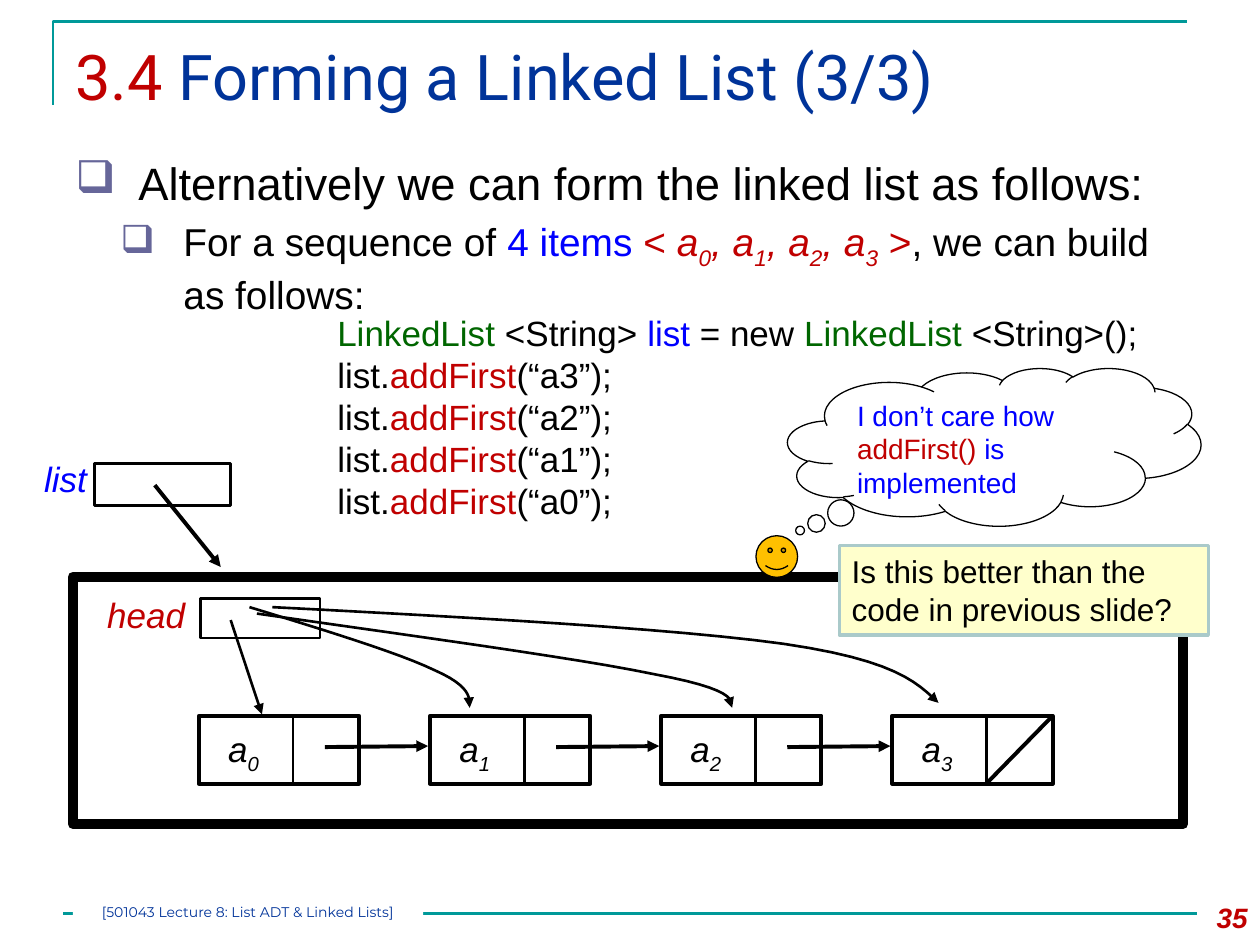
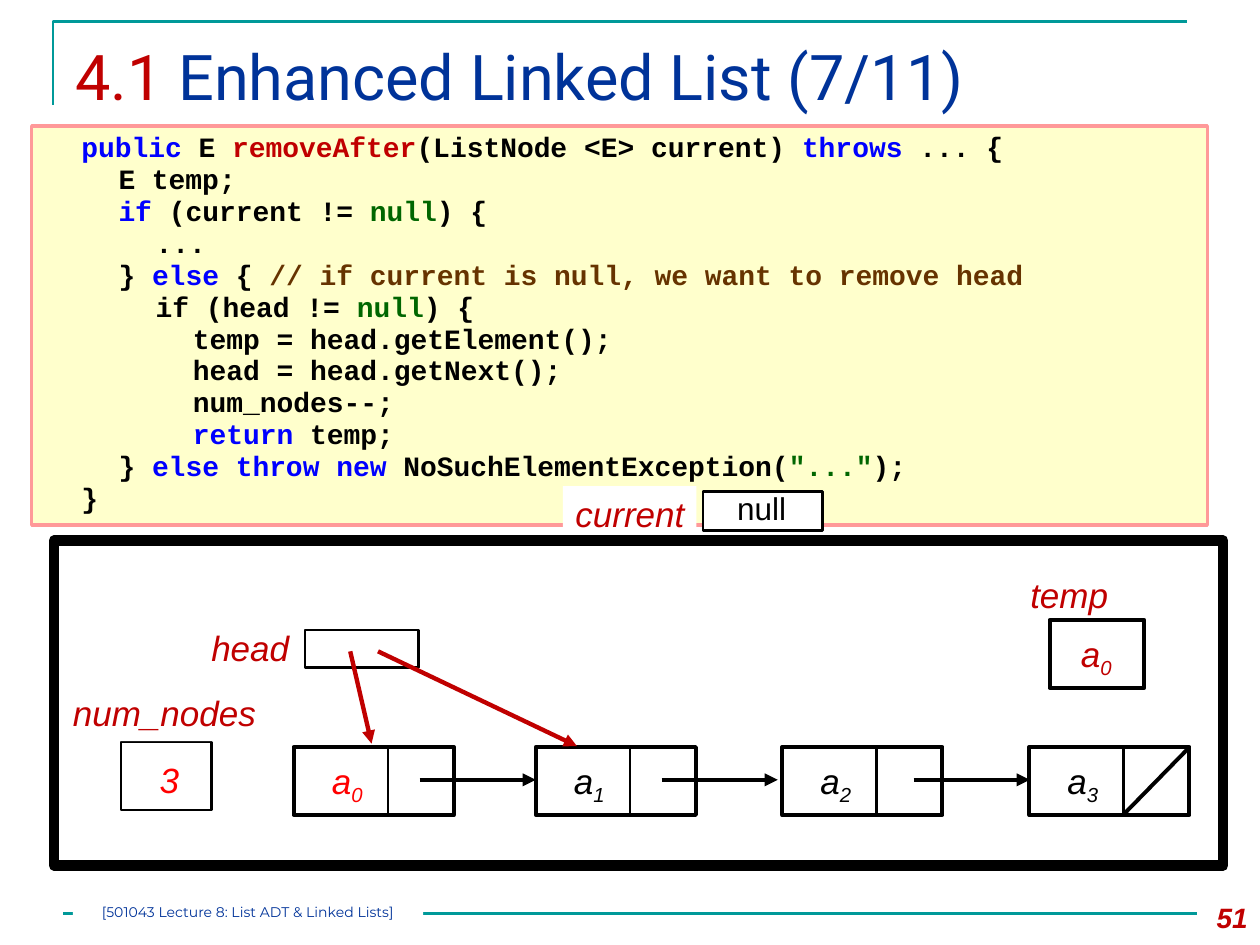
from lxml import etree
from pptx import Presentation
from pptx.dml.color import RGBColor
from pptx.enum.shapes import MSO_CONNECTOR, MSO_SHAPE
from pptx.enum.text import MSO_ANCHOR, PP_ALIGN
from pptx.oxml.ns import qn
from pptx.util import Cm, Pt

BLACK, WHITE, RED, BRIGHT_RED = "000000", "FFFFFF", "C00000", "FF0000"
NAVY, BLUE, GREEN, BROWN, TEAL = "003399", "0000FF", "006600", "663300", "009999"
CREAM, PINK, PALE_TEAL, BULLET = "FFFFCC", "FF9999", "AACACA", "666699"

TITLE = {"name": "Roboto", "size": Pt(36)}
FOOTER = {"name": "Montserrat", "size": Pt(8)}
PAGE_NUMBER = {"name": "Arial", "size": Pt(16), "bold": True, "italic": True}
NOTE = {"name": "Arial", "size": Pt(18)}
THOUGHT = {"name": "Arial", "size": Pt(16)}
BODY = {"name": "Arial", "size": Pt(20)}
LABEL = {**BODY, "italic": True}
CODE = {"name": "Courier New", "size": Pt(16), "bold": True}
SUBSCRIPT = {"baseline": "-25000"}


def colour(code):
    return RGBColor.from_string(code)


def bezier(points, steps=12):
    """Sample a chain of cubic curves whose end points are shared."""
    samples = [points[0]]
    for first in range(0, len(points) - 1, 3):
        corners = points[first:first + 4]
        for step in range(1, steps + 1):
            t = step / steps
            weights = ((1 - t) ** 3, 3 * t * (1 - t) ** 2, 3 * t * t * (1 - t), t ** 3)
            samples.append(tuple(sum(w * corner[axis] for w, corner in zip(weights, corners))
                                 for axis in (0, 1)))
    return samples


class Deck:
    """Holds the presentation and the slide being drawn; lengths are in centimetres."""

    def __init__(self):
        self.presentation = Presentation()
        self.presentation.slide_width, self.presentation.slide_height = Cm(25.4), Cm(19.05)
        self.slide = None

    def new_slide(self, number, title):
        self.slide = self.presentation.slides.add_slide(self.presentation.slide_layouts[6])
        self.polyline([(1.07, 2.11), (1.07, 0.43), (23.93, 0.43)], TEAL)
        self.line((1.27, 18.42), (24.13, 18.42), 1.5, TEAL)
        self.text((1.27, 0.64, 22.86, 2.18), [[(number + " ", RED), (title, NAVY)]], TITLE)

    def finish_slide(self, page):
        self.text((23.7, 18.03, 1.7, 1.02), [[(page, RED)]], PAGE_NUMBER, align=PP_ALIGN.RIGHT)
        footer = self.box((1.47, 18.21, 7.06, 0.51), WHITE)
        self.fill_text(footer, [[("[501043 Lecture 8: List ADT & Linked Lists]", NAVY)]],
                       FOOTER, align=PP_ALIGN.CENTER)
        for side in ("left", "top", "right", "bottom"):
            setattr(footer.text_frame, "margin_" + side, 0)

    def style_line(self, shape, width, code, arrow):
        shape.line.width = Pt(width)
        shape.line.color.rgb = colour(code)
        if arrow:
            line = shape._element.spPr.find(qn("a:ln"))
            etree.SubElement(line, qn("a:tailEnd"), type="triangle")

    def line(self, start, end, width, code=BLACK, arrow=False):
        ends = [Cm(value) for value in (*start, *end)]
        connector = self.slide.shapes.add_connector(MSO_CONNECTOR.STRAIGHT, *ends)
        self.style_line(connector, width, code, arrow)
        etree.SubElement(connector._element.spPr, qn("a:effectLst"))

    def polyline(self, points, code=BLACK, arrow=False):
        points = [(Cm(x), Cm(y)) for x, y in points]
        builder = self.slide.shapes.build_freeform(*points[0])
        builder.add_line_segments(points[1:], close=False)
        shape = builder.convert_to_shape()
        shape.shadow.inherit = False
        shape.fill.background()
        self.style_line(shape, 1.5, code, arrow)

    def box(self, place, fill=None, width=None, code=BLACK, kind=MSO_SHAPE.RECTANGLE):
        shape = self.slide.shapes.add_shape(kind, *map(Cm, place))
        shape.shadow.inherit = False
        if fill:
            shape.fill.solid()
            shape.fill.fore_color.rgb = colour(fill)
        else:
            shape.fill.background()
        if width:
            self.style_line(shape, width, code, False)
        else:
            shape.line.fill.background()
        return shape

    def fill_text(self, shape, paragraphs, style, align=PP_ALIGN.LEFT, wrap=True):
        """Fill a shape with paragraphs, each a list of (text, colour[, extra format])."""
        frame = shape.text_frame
        frame.word_wrap = wrap
        frame.vertical_anchor = MSO_ANCHOR.TOP
        for index, runs in enumerate(paragraphs):
            paragraph = frame.add_paragraph() if index else frame.paragraphs[0]
            paragraph.alignment = align
            for text, code, *extra in runs:
                run = paragraph.add_run()
                run.text = text
                run.font.color.rgb = colour(code)
                settings = {**style, **(extra[0] if extra else {})}
                baseline = settings.pop("baseline", None)
                for name, value in settings.items():
                    setattr(run.font, name, value)
                if baseline:
                    run._r.get_or_add_rPr().set("baseline", baseline)
        return frame

    def text(self, place, paragraphs, style, **options):
        shape = self.slide.shapes.add_textbox(*map(Cm, place))
        return self.fill_text(shape, paragraphs, style, **options)

    def label(self, place, text, code=RED, fill=None, subscript=""):
        runs = [(text, code)] + ([(subscript, code, SUBSCRIPT)] if subscript else [])
        self.fill_text(self.box(place, fill), [runs], LABEL, wrap=False)

    def bullet(self, paragraph, left):
        properties = paragraph._p.get_or_add_pPr()
        properties.set("marL", str(Cm(left)))
        properties.set("indent", str(Cm(-1.27)))
        bullet_colour = etree.SubElement(properties, qn("a:buClr"))
        etree.SubElement(bullet_colour, qn("a:srgbClr"), val=BULLET)
        etree.SubElement(properties, qn("a:buChar"), char="❑")

    def tabs(self, paragraph, positions):
        tab_list = etree.SubElement(paragraph._p.get_or_add_pPr(), qn("a:tabLst"))
        for position in positions:
            etree.SubElement(tab_list, qn("a:tab"), pos=str(Cm(position)), algn="l")

    def node(self, left, top, index, label_offset, code=BLACK):
        """A list node: item cell and next cell, the last one crossed out."""
        divider, bottom = left + 1.9, top + 1.36
        self.box((left, top, 3.23, 1.37), None, 2.25)
        self.line((divider, top - 0.03), (divider, bottom), 1.5)
        self.label((left + label_offset, top + 0.12, 1.17, 1.12), "a", code, subscript=str(index))
        if index == 3:
            self.line((left + 3.23, top), (divider, bottom), 2.25)


def forming_slide(deck):
    deck.new_slide("3.4", "Forming a Linked List (3/3)")
    items = [("< ", RED)]
    for index in range(4):
        items += [(", a" if index else "a", RED, {"italic": True}),
                  (str(index), RED, {"italic": True, **SUBSCRIPT})]
    body = deck.text((1.27, 3.0, 22.86, 2.97), [
        [("Alternatively we can form the linked list as follows:", BLACK, {"size": Pt(25.9)})],
        [("For a sequence of ", BLACK), ("4 items ", BLUE), *items, (" >", RED),
         (", we can build as follows:", BLACK)],
    ], {**BODY, "size": Pt(22.2)})
    for paragraph, left in zip(body.paragraphs, (1.27, 2.18)):
        deck.bullet(paragraph, left)
    body.paragraphs[1].space_before = Pt(5)

    deck.box((1.47, 11.63, 22.38, 4.98), WHITE, 6)
    head_curves = [
        [(5.49, 12.24), (9.53, 12.45), (13.56, 12.67), (15.8, 12.98),
         (18.03, 13.31), (18.47, 13.74), (18.92, 14.17)],
        [(5.18, 12.37), (8.38, 12.83), (11.58, 13.26), (13.18, 13.59),
         (14.78, 13.89), (14.76, 14.1), (14.76, 14.27)],
        [(5.03, 12.24), (6.53, 12.7), (8.03, 13.16), (8.76, 13.51),
         (9.5, 13.84), (9.47, 14.07), (9.47, 14.27)],
    ]
    for curve in head_curves:
        deck.polyline(bezier(curve), arrow=True)

    calls = [[("list.", BLACK), ("addFirst", RED), (f"(“a{index}”);", BLACK)]
             for index in (3, 2, 1, 0)]
    deck.text((6.55, 6.15, 16.94, 4.52), [
        [("LinkedList ", GREEN), ("<String> ", BLACK), ("list ", BLUE), ("= new ", BLACK),
         ("LinkedList ", GREEN), ("<String>();", BLACK)], *calls], BODY)

    cloud = deck.box((15.88, 7.42, 8.33, 3.18), WHITE, 0.75, kind=MSO_SHAPE.CLOUD_CALLOUT)
    cloud.adjustments[0], cloud.adjustments[1] = -0.47, 0.53
    deck.fill_text(cloud, [[("I don’t care how ", BLUE), ("addFirst() ", RED),
                            ("is implemented", BLUE)]], THOUGHT)
    deck.box((15.24, 10.8, 0.84, 0.84), "FFC000", 0.75, kind=MSO_SHAPE.SMILEY_FACE)

    deck.box((1.91, 9.35, 2.74, 0.84), WHITE, 1.5)
    deck.text((0.64, 9.09, 2.46, 1.09), [[("list", BLUE)]], LABEL)
    deck.line((3.12, 9.78), (4.45, 11.43), 2.25, arrow=True)

    deck.box((4.04, 12.07, 2.41, 0.79), None, 1.5)
    deck.label((1.91, 11.84, 2.08, 1.09), "head")
    deck.line((4.65, 12.5), (5.28, 14.4), 1.5, arrow=True)

    for index in range(4):
        left = 4.01 + 4.66 * index
        deck.node(left, 14.43, index, 0.34)
        if index < 3:
            deck.line((left + 2.54, 15.06), (left + 4.62, 15.04), 2.25, arrow=True)

    note = deck.box((16.92, 11, 7.44, 1.8), CREAM, 2, PALE_TEAL)
    deck.fill_text(note, [[("Is this better than the code in previous slide?", BLACK)]], NOTE)
    deck.finish_slide("35")


def remove_after_slide(deck):
    deck.new_slide("4.1", "Enhanced Linked List (7/11)")
    code_lines = [
        (1, [("public", BLUE), (" E ", BLACK), ("removeAfter", RED),
             ("(ListNode <E> current) ", BLACK), ("throws", BLUE), (" ... {", BLACK)]),
        (2, [("E temp;", BLACK)]),
        (2, [("if ", BLUE), ("(current != ", BLACK), ("null", GREEN), (") {", BLACK)]),
        (3, [("...", BLACK)]),
        (2, [("} ", BLACK), ("else ", BLUE), ("{ ", BLACK),
             ("// if current is null, we want to remove head", BROWN)]),
        (3, [("if (head != ", BLACK), ("null", GREEN), (") {", BLACK)]),
        (4, [("temp = head.getElement();", BLACK)]),
        (4, [("head = head.getNext();", BLACK)]),
        (4, [("num_nodes--;", BLACK)]),
        (4, [("return", BLUE), (" temp;", BLACK)]),
        (2, [("} ", BLACK), ("else throw new ", BLUE), ("NoSuchElementException(", BLACK),
             ('"..."', GREEN), (");", BLACK)]),
        (1, [("}", BLACK)]),
    ]
    listing = deck.fill_text(deck.box((0.64, 2.54, 23.7, 8.05), CREAM, 2, PINK),
                             [[("\t" * depth, BLACK), *runs] for depth, runs in code_lines], CODE)
    for paragraph in listing.paragraphs:
        paragraph.line_spacing = 0.95
        deck.tabs(paragraph, [0.75 * stop for stop in range(1, 5)])

    deck.label((11.35, 9.8, 2.69, 1.09), "current", fill=WHITE)
    deck.box((2.44, 14.96, 1.83, 1.37), WHITE, 1.5)
    deck.label((1.22, 13.82, 4.24, 1.12), "num_nodes", fill=WHITE)
    deck.label((2.97, 15.16, 0.91, 1.12), "3", BRIGHT_RED, WHITE)
    deck.box((1.09, 10.9, 23.57, 6.55), None, 6)

    deck.box((6.15, 12.7, 2.29, 0.76), None, 1.5)
    deck.label((4.01, 12.5, 2.08, 1.09), "head")
    deck.line((7.06, 13.13), (7.49, 14.99), 2.5, RED, arrow=True)

    for index, left in enumerate((5.92, 10.8, 15.77, 20.75)):
        deck.node(left, 15.06, index, 0.52, BLACK if index else BRIGHT_RED)
    for left in (8.46, 13.34, 18.42):
        deck.line((left, 15.72), (left + 2.34, 15.72), 2.5, arrow=True)

    deck.box((21.16, 12.5, 1.91, 1.37), None, 2.25)
    deck.label((21.54, 12.62, 1.17, 1.12), "a", subscript="0")
    deck.label((20.52, 11.43, 2.08, 1.12), "temp")

    deck.box((14.17, 9.91, 2.41, 0.79), WHITE, 1.5)
    deck.text((14.4, 9.73, 1.91, 1.02), [[("null", BLACK)]], NOTE, align=PP_ALIGN.CENTER)
    deck.line((7.62, 13.13), (11.63, 15.04), 2.5, RED, arrow=True)
    deck.finish_slide("51")


def main():
    deck = Deck()
    forming_slide(deck)
    remove_after_slide(deck)
    deck.presentation.save("out.pptx")


if __name__ == "__main__":
    main()
